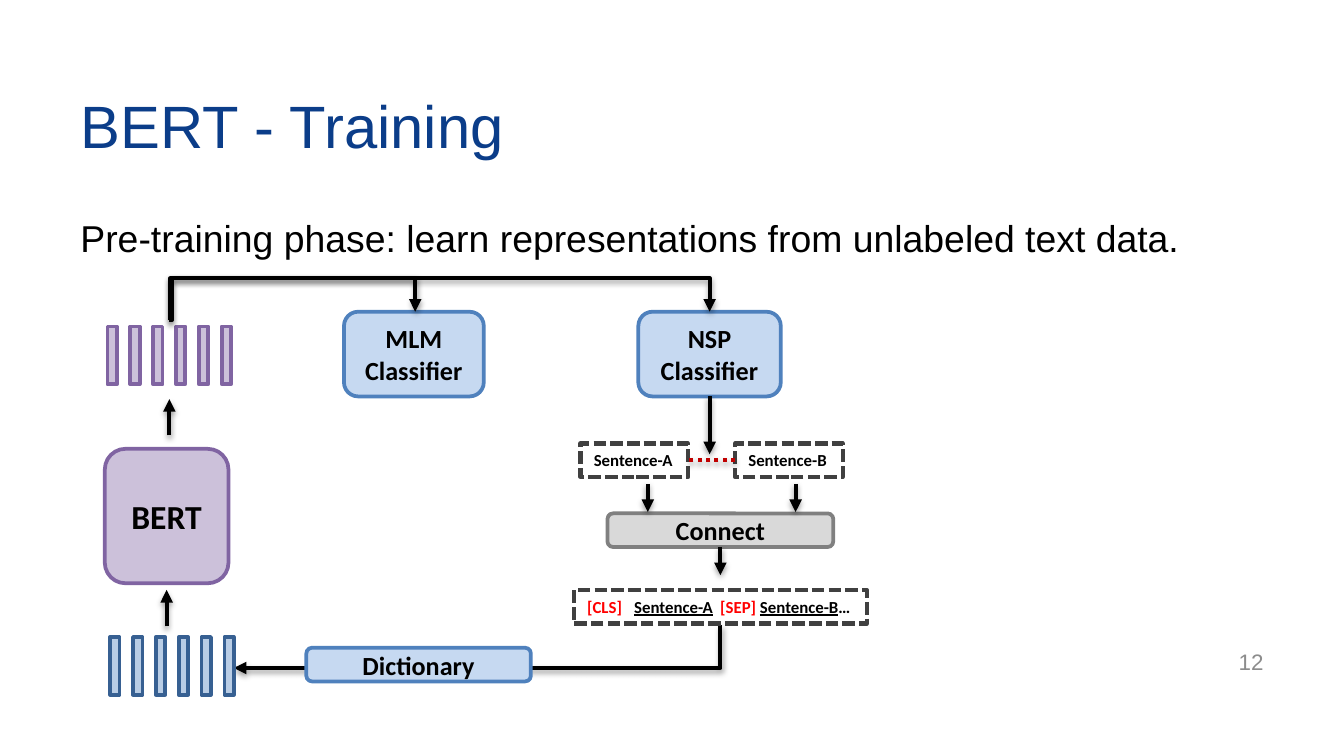
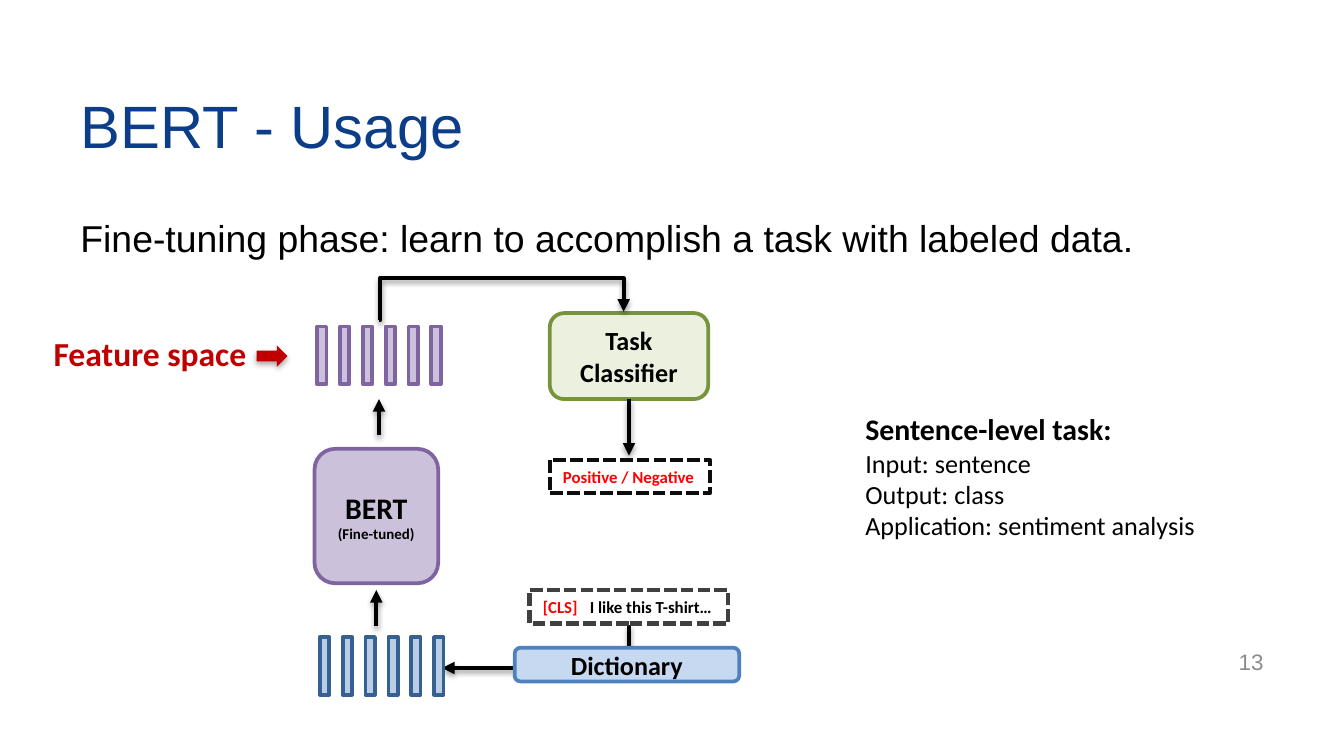
from dataclasses import dataclass
from typing import NamedTuple

from lxml.etree import SubElement
from pptx import Presentation
from pptx.dml.color import RGBColor
from pptx.enum.dml import MSO_LINE_DASH_STYLE as Dash
from pptx.enum.shapes import MSO_CONNECTOR as Link
from pptx.enum.shapes import MSO_SHAPE as Shape
from pptx.enum.text import MSO_ANCHOR as Anchor
from pptx.enum.text import MSO_AUTO_SIZE as AutoSize
from pptx.enum.text import PP_ALIGN as Align
from pptx.oxml.ns import qn
from pptx.util import Inches, Pt


class Paint(NamedTuple):
    """Fill and line colours of a filled shape."""
    fill: str
    line: str


@dataclass(frozen=True)
class Theme:
    """Colours, fonts and type sizes of the deck."""
    heading_font: str = "Arial"
    diagram_font: str = "Calibri"
    title: str = "0B3D89"
    page_number: str = "8C8C8C"
    ink: str = "000000"
    token: str = "FF0000"
    accent: str = "C00000"
    frame: str = "404040"
    result_frame: str = "0D0D0D"
    purple: Paint = Paint("CCC1DA", "8064A2")
    blue: Paint = Paint("C6D9F1", "4F81BD")
    steel: Paint = Paint("B9CDE5", "376092")
    green: Paint = Paint("EBF1DE", "77933C")
    gray: Paint = Paint("D9D9D9", "808080")
    title_size: int = 32
    lead_size: int = 20
    large: int = 18
    medium: int = 16
    label: int = 14
    number_size: int = 12
    small: int = 9
    tiny: int = 8
    outline: float = 2
    stroke: float = 2.25


THEME = Theme()


class Box(NamedTuple):
    """A rectangle in inches."""
    left: float
    top: float
    width: float
    height: float

    def inches(self):
        """Return the four lengths for python-pptx."""
        return [Inches(value) for value in self]

    def inner(self, left, top, width, height):
        """Return a box placed relative to this one."""
        return Box(self.left + left, self.top + top, width, height)

    def point(self, across, down):
        """Return a point placed relative to this box."""
        return self.left + across, self.top + down


class Span(NamedTuple):
    """A stretch of text in one style."""
    text: str
    size: float = THEME.label
    color: str = THEME.ink
    bold: bool = True
    underline: bool = False
    font: str = THEME.diagram_font


def write(frame, lines, align=Align.LEFT, tabs=()):
    """Fill a text frame with lines, each a list of spans."""
    frame.text = "\n".join("" for _ in lines)
    for para, spans in zip(frame.paragraphs, lines):
        para.alignment = align
        if tabs:
            stops = SubElement(para._p.get_or_add_pPr(), qn("a:tabLst"))
            for stop in tabs:
                SubElement(stops, qn("a:tab"), pos=str(Inches(stop)), algn="l")
        for span in spans:
            run = para.add_run()
            run.text = span.text
            run.font.name = span.font
            run.font.size = Pt(span.size)
            run.font.bold = span.bold
            run.font.underline = span.underline
            run.font.color.rgb = RGBColor.from_string(span.color)


def cast_shadow(shape, alpha=38, distance=1.6):
    """Give a shape a soft shadow that falls downwards."""
    effects = SubElement(shape._element.spPr, qn("a:effectLst"))
    shadow = SubElement(effects, qn("a:outerShdw"), blurRad=str(Pt(3.1)),
                        dist=str(Pt(distance)), dir="5400000", rotWithShape="0")
    color = SubElement(shadow, qn("a:srgbClr"), val=THEME.ink)
    SubElement(color, qn("a:alpha"), val=str(alpha * 1000))


def add_block(page, box, paint, lines=(), kind=Shape.ROUNDED_RECTANGLE):
    """Add a filled shape with centred lines."""
    block = page.shapes.add_shape(kind, *box.inches())
    block.shadow.inherit = False
    block.fill.solid()
    block.fill.fore_color.rgb = RGBColor.from_string(paint.fill)
    block.line.color.rgb = RGBColor.from_string(paint.line)
    block.line.width = Pt(THEME.outline)
    if lines:
        write(block.text_frame, [[span] for span in lines], Align.CENTER)
    return block


def add_dashed(page, box, spans, color=THEME.frame, tabs=()):
    """Add a dashed frame around one line of text."""
    frame = page.shapes.add_shape(Shape.RECTANGLE, *box.inches())
    frame.shadow.inherit = False
    frame.fill.background()
    frame.line.color.rgb = RGBColor.from_string(color)
    frame.line.width = Pt(THEME.stroke)
    frame.line.dash_style = Dash.SQUARE_DOT
    frame.line._get_or_add_ln().find(qn("a:prstDash")).set("val", "sysDash")
    text = frame.text_frame
    text.word_wrap = False
    text.auto_size = AutoSize.SHAPE_TO_FIT_TEXT
    text.vertical_anchor = Anchor.TOP
    write(text, [spans], tabs=tabs)
    return frame


def add_text(page, box, lines, align=Align.LEFT, wrap=True, anchor=Anchor.TOP):
    """Add a plain text box."""
    text = page.shapes.add_textbox(*box.inches()).text_frame
    text.word_wrap = wrap
    text.vertical_anchor = anchor
    write(text, lines, align)
    return text


def add_line(page, start, end, kind=Link.STRAIGHT, color=THEME.ink, arrow=True):
    """Add a shadowed connector, with an arrowhead at its end if wanted."""
    line = page.shapes.add_connector(kind, *(Inches(value) for value in (*start, *end)))
    line.line.color.rgb = RGBColor.from_string(color)
    line.line.width = Pt(THEME.stroke)
    if arrow:
        SubElement(line.line._get_or_add_ln(), qn("a:tailEnd"), type="triangle")
    cast_shadow(line)
    return line


def add_bridge(page, start, end, crest):
    """Add an arrow that rises to the crest, crosses and drops to its end."""
    line = add_line(page, start, end, Link.ELBOW)
    geometry = line._element.spPr.find(qn("a:prstGeom"))
    geometry.set("prst", "bentConnector4")
    guides = geometry.find(qn("a:avLst"))
    if guides is None:
        guides = SubElement(geometry, qn("a:avLst"))
    rise = (start[1] - crest) / (start[1] - end[1])
    for name, value in (("adj1", 500), ("adj2", round(rise * 100000))):
        SubElement(guides, qn("a:gd"), name=name, fmla=f"val {value}")


def add_corner(page, start, end):
    """Add an arrow that runs down and then left."""
    middle_x, middle_y = (start[0] + end[0]) / 2, (start[1] + end[1]) / 2
    half_width, half_height = (start[0] - end[0]) / 2, (end[1] - start[1]) / 2
    line = add_line(page, (middle_x - half_height, middle_y - half_width),
                    (middle_x + half_height, middle_y + half_width), Link.ELBOW)
    line._element.spPr.find(qn("a:prstGeom")).set("prst", "bentConnector2")
    line._element.spPr.find(qn("a:xfrm")).set("rot", "5400000")


def add_page(deck, title, lead, number):
    """Add a page with its title, lead sentence and number."""
    page = deck.slides.add_slide(deck.slide_layouts[5])
    heading = page.shapes.title
    heading.left, heading.top, heading.width, heading.height = Box(0.5, 0.46, 9, 0.94).inches()
    heading.text_frame.vertical_anchor = Anchor.MIDDLE
    font = THEME.heading_font
    write(heading.text_frame,
          [[Span(title, THEME.title_size, THEME.title, False, font=font)]])
    text = add_text(page, Box(0.5, 1.55, 8.56, 0.48),
                    [[Span(lead, THEME.lead_size, bold=False, font=font)]])
    text.paragraphs[0].space_before = Pt(4)
    add_text(page, Box(7.17, 4.77, 2.33, 0.3),
             [[Span(number, THEME.number_size, THEME.page_number, False, font=font)]],
             Align.RIGHT, anchor=Anchor.MIDDLE)
    return page


def draw_bars(page, box, paint):
    """Draw a row of six upright vector bars."""
    for index in range(6):
        add_block(page, box.inner(index * 0.17, 0, 0.07, box.height), paint,
                  kind=Shape.RECTANGLE)


def draw_encoder(page, box, lines, targets):
    """Draw the BERT column and its bridges to the classifier tops."""
    draw_bars(page, box.inner(0.02, 0, 0.92, 0.43), THEME.purple)
    add_block(page, box.inner(0, 0.91, box.width, 1), THEME.purple, lines)
    draw_bars(page, box.inner(0.04, 2.31, 0.92, 0.43), THEME.steel)
    for target in targets:
        add_bridge(page, box.point(0.48, -0.05), target, box.top - 0.36)
    for across, tail, head in ((0.46, 2.23, 1.96), (0.48, 0.81, 0.54)):
        add_line(page, box.point(across, tail), box.point(across, head))


def draw_dictionary(page, box, start, end):
    """Draw the dictionary over the arrow that passes behind it."""
    add_corner(page, start, end)
    add_block(page, box, THEME.blue, [Span("Dictionary")])


def draw_sentence_flow(page, box):
    """Draw the path from the NSP classifier to the joined sentences."""
    nsp = add_block(page, box.inner(0.48, 0, 1.06, 0.63), THEME.blue,
                    [Span("NSP"), Span("Classifier")])
    first, second = (
        add_dashed(page, box.inner(left, 0.98, 0.8, 0.25), [Span(name, THEME.small)])
        for left, name in ((0.05, "Sentence-A"), (1.2, "Sentence-B")))
    connect = add_block(page, box.inner(0.25, 1.5, 1.68, 0.25), THEME.gray, [Span("Connect")])
    size = THEME.small
    add_dashed(page, box.inner(0, 2.07, box.width, 0.25), [
        Span("[CLS]\t", size, THEME.token),
        Span("Sentence-A", size, underline=True),
        Span("\t[SEP] ", size, THEME.token),
        Span("Sentence-B", size, underline=True),
        Span("…", size)], tabs=(0.35, 0.99))
    add_line(page, box.point(1.01, 0.63), box.point(1.01, 1.06)).begin_connect(nsp, 2)
    pair = add_line(page, box.point(1.2, 1.1), box.point(0.85, 1.1),
                    color=THEME.accent, arrow=False)
    pair.line.dash_style = Dash.ROUND_DOT
    pair.begin_connect(second, 1)
    pair.end_connect(first, 3)
    for across in (0.55, 1.65):
        add_line(page, box.point(across, 1.28), box.point(across, 1.49))
    add_line(page, box.point(1.09, 1.75), box.point(1.09, 1.96)).begin_connect(connect, 2)


def draw_task_flow(page, box):
    """Draw the task classifier, its result and the input sentence."""
    task = add_block(page, box.inner(0.15, 0, 1.18, 0.64), THEME.green,
                     [Span("Task"), Span("Classifier")])
    add_line(page, box.point(0.74, 0.64), box.point(0.74, 1.06)).begin_connect(task, 2)
    size = THEME.small
    add_dashed(page, box.inner(0, 2.06, box.width, 0.25),
               [Span("[CLS]\t", size, THEME.token), Span("I like this T-shirt…", size)],
               tabs=(0.35,))
    add_dashed(page, box.inner(0.15, 1.09, 1.19, 0.25),
               [Span("Positive / Negative", size, THEME.token)], THEME.result_frame)


def draw_feature_label(page, box):
    """Draw the feature space label and its block arrow."""
    add_text(page, box.inner(0, 0, 1.68, box.height),
             [[Span("Feature space", THEME.large, THEME.accent)]])
    arrow = page.shapes.add_shape(Shape.RIGHT_ARROW, *box.inner(1.61, 0.14, 0.23, 0.16).inches())
    arrow.fill.solid()
    arrow.fill.fore_color.rgb = RGBColor.from_string(THEME.accent)
    arrow.line.fill.background()
    cast_shadow(arrow, 35, 1.8)


def draw_task_notes(page, box):
    """Write the description of the sentence-level task."""
    notes = ("Input: sentence", "Output: class", "Application: sentiment analysis")
    add_text(page, box, [[Span("Sentence-level task:", THEME.medium)],
                         *([Span(note, bold=False)] for note in notes)], wrap=False)


def build_training(deck):
    """Build the pre-training page."""
    page = add_page(deck, "BERT - Training",
                    "Pre-training phase: learn representations from unlabeled text data.", "12")
    draw_dictionary(page, Box(2.28, 4.82, 1.67, 0.25), (5.36, 4.65), (1.74, 4.97))
    add_block(page, Box(2.56, 2.32, 1.04, 0.63), THEME.blue, [Span("MLM"), Span("Classifier")])
    draw_sentence_flow(page, Box(4.27, 2.32, 2.18, 2.32))
    draw_encoder(page, Box(0.78, 2.43, 0.92, 2.74), [Span("BERT", THEME.large)],
                 [(3.09, 2.32), (5.28, 2.32)])


def build_usage(deck):
    """Build the fine-tuning page."""
    page = add_page(deck, "BERT - Usage",
                    "Fine-tuning phase: learn to accomplish a task with labeled data.", "13")
    draw_dictionary(page, Box(3.83, 4.82, 1.67, 0.25), (4.68, 4.65), (3.29, 4.97))
    draw_task_flow(page, Box(3.94, 2.33, 1.48, 2.31))
    draw_encoder(page, Box(2.34, 2.43, 0.92, 2.74),
                 [Span("BERT", THEME.medium), Span("(Fine-tuned)", THEME.tiny)], [(4.64, 2.32)])
    draw_task_notes(page, Box(6.34, 3.01, 2.68, 1.08))
    draw_feature_label(page, Box(0.3, 2.43, 1.84, 0.4))


def main():
    """Build and save the deck."""
    deck = Presentation()
    deck.slide_width, deck.slide_height = Inches(10), Inches(10 * 9 / 16)
    build_training(deck)
    build_usage(deck)
    deck.save("out.pptx")


if __name__ == "__main__":
    main()
